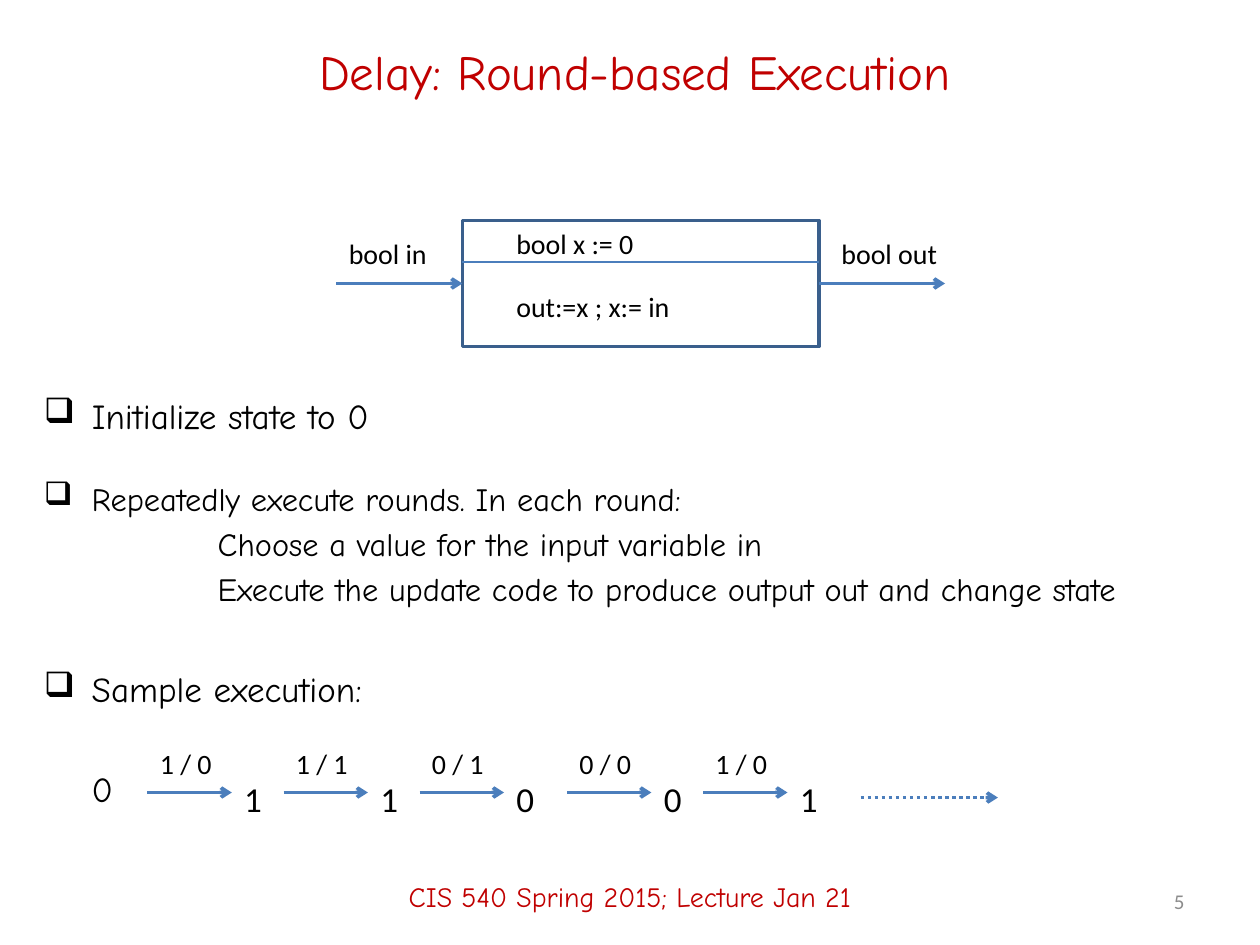
"""Build the slide on round-based execution of the Delay component."""
from dataclasses import dataclass
from typing import Optional

import lxml.etree
import pptx
import pptx.dml.color
import pptx.enum.dml
import pptx.enum.shapes
import pptx.enum.text
import pptx.oxml.ns
import pptx.util

Inches = pptx.util.Inches
Pt = pptx.util.Pt
qn = pptx.oxml.ns.qn
RGBColor = pptx.dml.color.RGBColor
ALIGN = pptx.enum.text.PP_ALIGN
ANCHOR = pptx.enum.text.MSO_ANCHOR

RED = RGBColor(0xC0, 0x00, 0x00)
BLACK = RGBColor(0x00, 0x00, 0x00)
GRAY = RGBColor(0x8C, 0x8C, 0x8C)
BLUE = RGBColor(0x4B, 0x7E, 0xBC)
DARK_BLUE = RGBColor(0x3A, 0x5F, 0x8C)
HEADING_FONT = "Comic Neue"
LABEL_FONT = "Calibri"
HANG = 0.38
SUB_INDENT = 1.38


@dataclass
class Style:
    size: float
    font: str = LABEL_FONT
    color: RGBColor = BLACK
    align: ALIGN = ALIGN.LEFT
    anchor: ANCHOR = ANCHOR.TOP
    wrap: bool = True


@dataclass
class Label:
    text: str
    left: float
    top: float
    width: float
    height: float
    style: Style


@dataclass
class BulletBlock:
    lines: list[str]
    top: float
    width: float
    height: float
    size: float


@dataclass
class Step:
    left: float
    io_pair: str
    state: str


TITLE = Style(28, HEADING_FONT, RED, ALIGN.CENTER, ANCHOR.MIDDLE)
FOOTER = Style(16, HEADING_FONT, RED, ALIGN.CENTER, ANCHOR.MIDDLE)
NUMBER = Style(12, LABEL_FONT, GRAY, ALIGN.RIGHT, ANCHOR.MIDDLE)
CODE = Style(16, wrap=False)
STATE = Style(20, wrap=False)
START = Style(20, HEADING_FONT)

LABELS = [
    Label("Delay: Round-based Execution", 0.75, 0.17, 8.58, 0.78, TITLE),
    Label("bool in", 2.67, 1.83, 0.83, 0.37, CODE),
    Label("bool out", 6.58, 1.83, 0.97, 0.37, CODE),
    Label("bool x := 0", 4, 1.75, 1.14, 0.37, CODE),
    Label("out:=x ; x:= in", 4, 2.25, 1.43, 0.37, CODE),
    Label("0", 0.63, 6.04, 0.4, 0.44, START),
    Label("CIS 540 Spring 2015; Lecture Jan 21", 0, 6.72, 10, 0.78, FOOTER),
    Label("5", 7.17, 6.95, 2.33, 0.4, NUMBER),
]
BLOCKS = [
    BulletBlock(["Initialize state to 0"], 3.08, 8.08, 0.58, 20),
    BulletBlock(["Repeatedly execute rounds. In each round:",
                 "Choose a value for the input variable in",
                 "Execute the update code to produce output out and change state"],
                3.75, 9.33, 1.33, 18.5),
    BulletBlock(["Sample execution:"], 5.25, 8.5, 0.58, 20),
]
STEPS = [
    Step(1.17, "1 / 0", "1"),
    Step(2.25, "1 / 1", "1"),
    Step(3.33, "0 / 1", "0"),
    Step(4.5, "0 / 0", "0"),
    Step(5.58, "1 / 0", "1"),
]


def style_run(p, style: Style) -> None:
    for r in p.runs:
        r.font.size = Pt(style.size)
        r.font.name = style.font
        r.font.color.rgb = style.color


def add_label(s, label: Label) -> None:
    sp = s.shapes.add_textbox(Inches(label.left), Inches(label.top),
                              Inches(label.width), Inches(label.height))
    tf = sp.text_frame
    tf.text = label.text
    tf.word_wrap = label.style.wrap
    tf.vertical_anchor = label.style.anchor
    p = tf.paragraphs[0]
    p.alignment = label.style.align
    style_run(p, label.style)


def add_bullets(s, block: BulletBlock) -> None:
    sp = s.shapes.add_textbox(Inches(0.25), Inches(block.top),
                              Inches(block.width), Inches(block.height))
    tf = sp.text_frame
    tf.word_wrap = True
    for i, line in enumerate(block.lines):
        p = tf.add_paragraph() if i else tf.paragraphs[0]
        p.text = line
        pPr = p._p.get_or_add_pPr()
        if i:
            pPr.set("marL", str(Inches(SUB_INDENT)))
            p.space_before = Pt(0.2 * block.size)
        else:
            pPr.set("marL", str(Inches(HANG)))
            pPr.set("indent", str(-Inches(HANG)))
            lxml.etree.SubElement(pPr, qn("a:buChar")).set("char", "❑")
        style_run(p, Style(block.size, HEADING_FONT))


def add_line(s, left: float, right: float, y: float, width: float = 2,
             arrow: bool = True,
             dash: Optional[pptx.enum.dml.MSO_LINE] = None):
    line = s.shapes.add_connector(pptx.enum.shapes.MSO_CONNECTOR.STRAIGHT,
                                  Inches(left), Inches(y), Inches(right), Inches(y))
    line.line.color.rgb = BLUE
    line.line.width = Pt(width)
    if dash is not None:
        line.line.dash_style = dash
    if arrow:
        ln = line.line._get_or_add_ln()
        lxml.etree.SubElement(ln, qn("a:tailEnd")).set("type", "arrow")
    lxml.etree.SubElement(line._element.spPr, qn("a:effectLst"))
    return line


def add_component(s) -> None:
    sp = s.shapes.add_shape(pptx.enum.shapes.MSO_SHAPE.RECTANGLE,
                            Inches(3.67), Inches(1.75), Inches(2.83), Inches(1))
    sp.shadow.inherit = False
    sp.fill.background()
    sp.line.color.rgb = DARK_BLUE
    sp.line.width = Pt(2)
    add_line(s, 6.5, 7.5, 2.25).begin_connect(sp, 3)
    add_line(s, 2.67, 3.67, 2.25).end_connect(sp, 1)
    add_line(s, 3.67, 6.5, 2.08, width=0.75, arrow=False)


def add_step(s, step: Step) -> None:
    end = step.left + 0.67
    add_label(s, Label(step.io_pair, step.left, 5.88, 0.62, 0.37, CODE))
    add_line(s, step.left, end, 6.29)
    add_label(s, Label(step.state, end, 6.12, 0.34, 0.44, STATE))


def main() -> None:
    prs = pptx.Presentation()
    prs.slide_width, prs.slide_height = Inches(10), Inches(7.5)
    s = prs.slides.add_slide(prs.slide_layouts[6])
    add_component(s)
    for block in BLOCKS:
        add_bullets(s, block)
    for step in STEPS:
        add_step(s, step)
    add_line(s, 6.83, 7.92, 6.33, dash=pptx.enum.dml.MSO_LINE.ROUND_DOT)
    for label in LABELS:
        add_label(s, label)
    prs.save("out.pptx")


if __name__ == "__main__":
    main()
